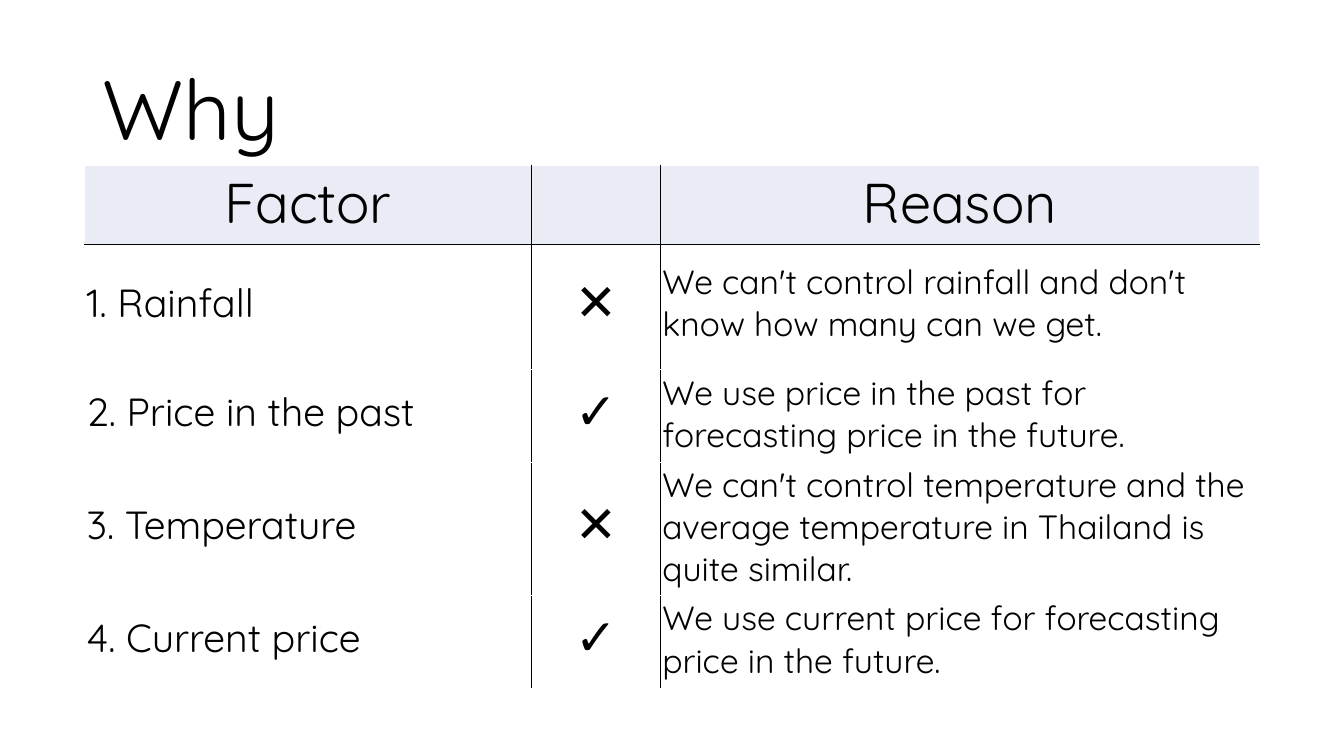
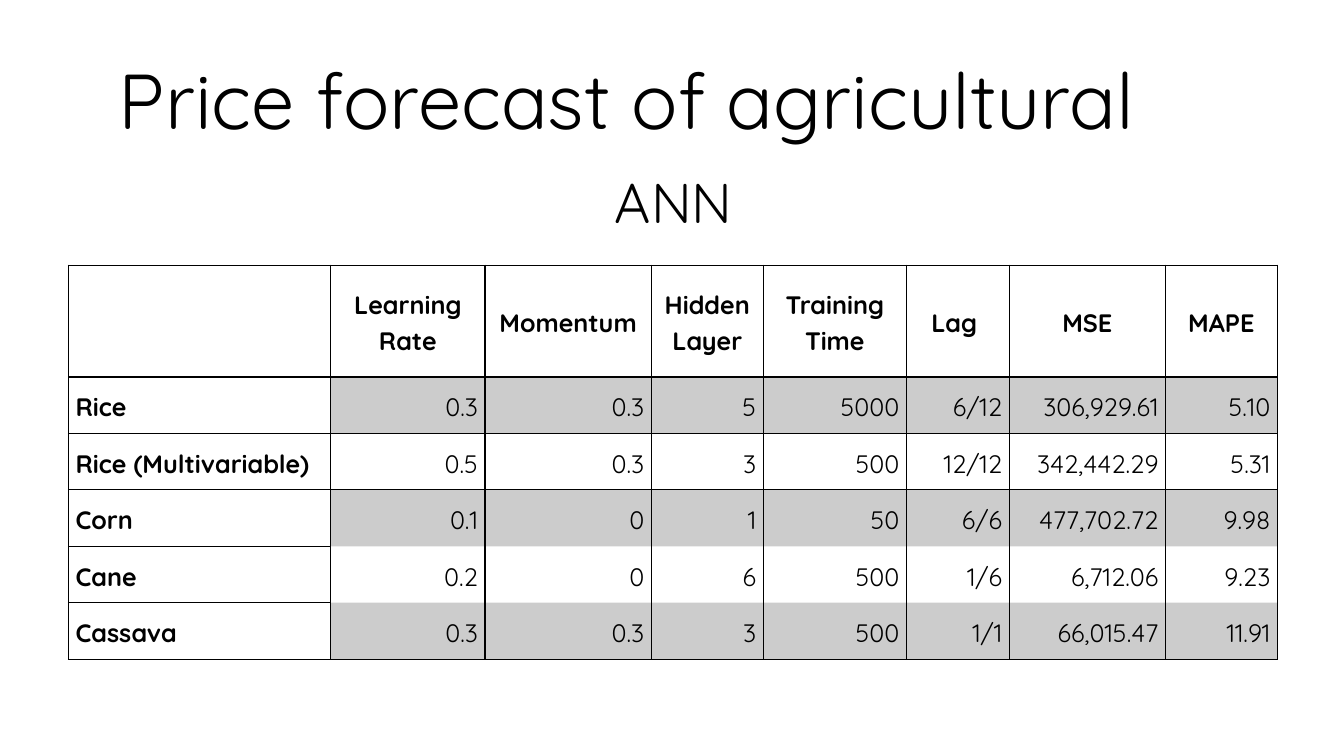
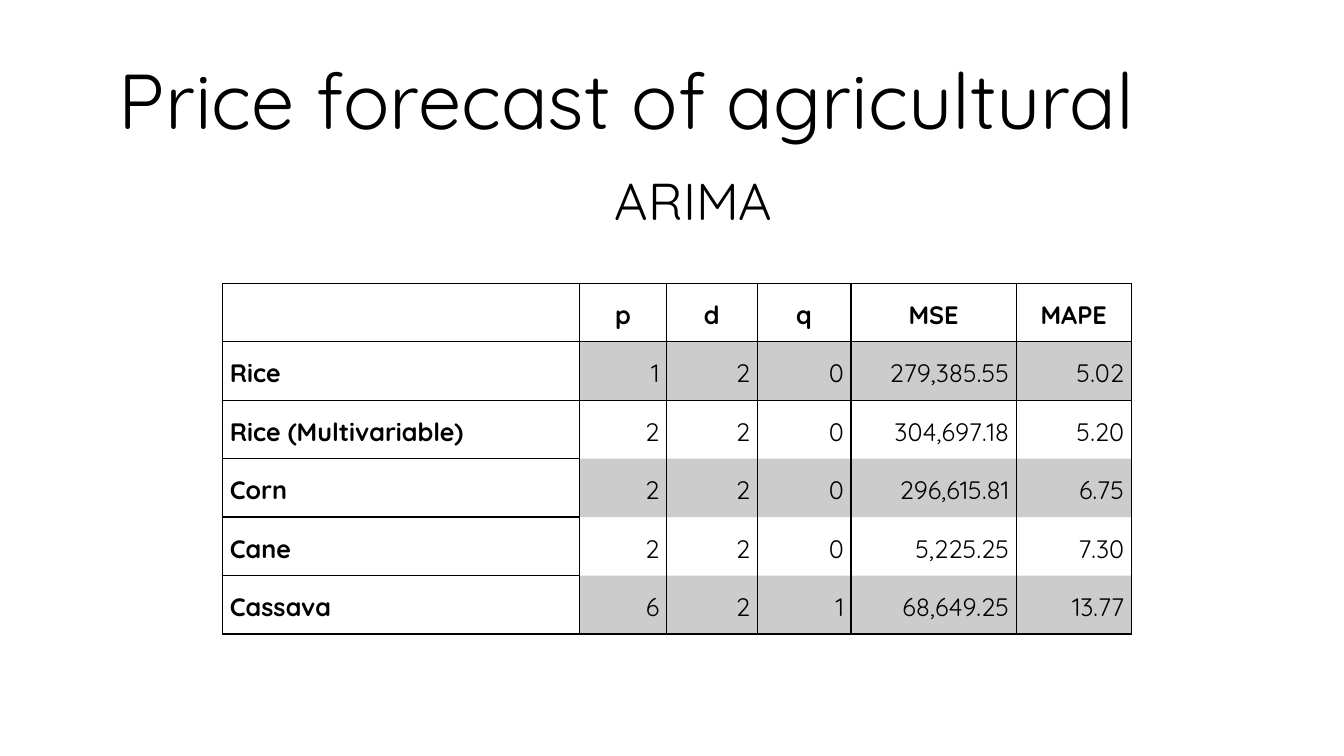
from dataclasses import dataclass
from typing import Callable, Optional

from lxml.etree import SubElement
from pptx import Presentation
from pptx.dml.color import RGBColor
from pptx.enum.text import MSO_ANCHOR as Anchor, PP_ALIGN as Align
from pptx.oxml.ns import qn
from pptx.util import Inches, Pt


@dataclass(frozen=True)
class Theme:
    font: str = "Quicksand"
    mark_font: str = "Arial"
    ink: str = "000000"
    paper: str = "FFFFFF"
    header: str = "E9EBF5"
    band_alpha: int = 20
    why: float = 60
    title: float = 55.5
    heading: float = 40
    arima: float = 37
    mark: float = 36
    factor: float = 28
    reason: float = 24
    data: float = 18
    title_spacing: float = 0.9
    data_spacing: float = 1.15


THEME = Theme()
NO_STYLE = "{2D5ABB26-0587-4C30-8999-92F81FD0307C}"


@dataclass(frozen=True)
class TextStyle:
    size: float
    font: str = THEME.font
    bold: bool = False
    align: Align = Align.LEFT
    spacing: float = 1.0


@dataclass(frozen=True)
class CellStyle:
    text: TextStyle
    borders: dict[str, str]
    fill: Optional[str] = None
    alpha: int = 100


@dataclass(frozen=True)
class Label:
    text: str
    box: tuple[float, float, float, float]
    size: float
    anchor: Anchor = Anchor.TOP


@dataclass(frozen=True)
class Grid:
    left: float
    top: float
    cols: list[float]
    rows: list[float]
    cells: list[list[str]]
    insets: tuple[float, float, float, float]
    style: Callable[[int, int], CellStyle]


@dataclass(frozen=True)
class Page:
    labels: list[Label]
    grid: Grid


def write(tf, text: str, style: TextStyle) -> None:
    p = tf.paragraphs[0]
    p.alignment, p.line_spacing = style.align, style.spacing
    r = p.add_run()
    r.text = text
    for name, value in {"name": style.font, "size": Pt(style.size), "bold": style.bold}.items():
        setattr(r.font, name, value)
    r.font.color.rgb = RGBColor.from_string(THEME.ink)


def add_label(s, label: Label) -> None:
    tf = s.shapes.add_textbox(*map(Inches, label.box)).text_frame
    tf.word_wrap, tf.vertical_anchor = True, label.anchor
    write(tf, label.text, TextStyle(label.size, spacing=THEME.title_spacing))


def paint_cell(cell, style: CellStyle) -> None:
    """Add the borders, then the fill, in the order the file format wants."""
    tc_pr = cell._tc.get_or_add_tcPr()
    for side in "LRTB":
        if side in style.borders:
            ln = SubElement(tc_pr, qn(f"a:ln{side}"), w=str(Pt(1)))
            SubElement(SubElement(ln, qn("a:solidFill")), qn("a:srgbClr"), val=style.borders[side])
    if style.fill is None:
        cell.fill.background()
        return
    cell.fill.solid()
    cell.fill.fore_color.rgb = RGBColor.from_string(style.fill)
    if style.alpha < 100:
        color = tc_pr.find(f"{qn('a:solidFill')}/{qn('a:srgbClr')}")
        SubElement(color, qn("a:alpha"), val=str(style.alpha * 1000))


def add_grid(s, grid: Grid) -> None:
    size = (sum(grid.cols), sum(grid.rows))
    table = s.shapes.add_table(len(grid.rows), len(grid.cols),
                               *map(Inches, (grid.left, grid.top, *size))).table
    table.first_row = table.horz_banding = False
    table._tbl.tblPr.find(qn("a:tableStyleId")).text = NO_STYLE
    for col, width in zip(table.columns, grid.cols):
        col.width = Inches(width)
    for row, height in zip(table.rows, grid.rows):
        row.height = Inches(height)
    for r, texts in enumerate(grid.cells):
        for c, text in enumerate(texts):
            cell, style = table.cell(r, c), grid.style(r, c)
            for side, inset in zip(("left", "top", "right", "bottom"), grid.insets):
                setattr(cell, f"margin_{side}", Inches(inset))
            cell.vertical_anchor = Anchor.MIDDLE
            paint_cell(cell, style)
            if text:
                write(cell.text_frame, text, style.text)


def factor_style(r: int, c: int) -> CellStyle:
    inked = {"L": c > 0, "R": c < 2, "T": r == 1, "B": r == 0}
    borders = {side: THEME.ink if on else THEME.paper for side, on in inked.items()}
    if r == 0:
        return CellStyle(TextStyle(THEME.heading, align=Align.CENTER), borders, THEME.header)
    body = (TextStyle(THEME.factor),
            TextStyle(THEME.mark, THEME.mark_font, align=Align.CENTER),
            TextStyle(THEME.reason))
    return CellStyle(body[c], borders)


def result_grid(left: float, top: float, cols: list[float], rows: list[float],
                cells: list[list[str]], ruled: set[int]) -> Grid:
    """Results with odd rows shaded; ruled holds the rows with a line below."""
    def style(r: int, c: int) -> CellStyle:
        label = r == 0 or c == 0
        inked = {"L": True, "R": True, "T": label or r - 1 in ruled, "B": label or r in ruled}
        align = Align.CENTER if r == 0 else Align.LEFT if c == 0 else Align.RIGHT
        return CellStyle(
            TextStyle(THEME.data, bold=label, align=align, spacing=THEME.data_spacing),
            {side: THEME.ink for side, on in inked.items() if on},
            THEME.ink if r % 2 and not label else None, THEME.band_alpha)
    return Grid(left, top, cols, rows, cells, (0.07, 0, 0.07, 0), style)


def forecast_page(method: str, size: float, grid: Grid) -> Page:
    return Page([Label("Price forecast of agricultural", (1.08, 0.57, 11.5, 1.45), THEME.title),
                 Label(method, (6, 1.69, 1.92, 0.79), size)], grid)


FACTORS = Grid(0.84, 1.64, [4.43, 1.28, 5.94], [0.72, 1.24, 0.92, 1.31, 0.92], [
    ["Factor", "", "Reason"],
    ["1. Rainfall", "✕", "We can't control rainfall and don't know how many can we get."],
    ["2. Price in the past", "✓", "We use price in the past for forecasting price in the future."],
    ["3. Temperature", "✕", "We can't control temperature and the average temperature "
                            "in Thailand is quite similar."],
    ["4. Current price", "✓", "We use current price for forecasting price in the future."],
], (0.02, 0.02, 0.02, 0.1), factor_style)

ANN = result_grid(0.68, 2.63, [2.6, 1.53, 1.65, 1.11, 1.42, 1.02, 1.55, 1.11],
                  [1.11] + [0.56] * 5, [
    ["", "Learning Rate", "Momentum", "Hidden Layer", "Training Time", "Lag ", "MSE", "MAPE"],
    ["Rice", "0.3", "0.3", "5", "5000", "6/12", "306,929.61", "5.10"],
    ["Rice (Multivariable)", "0.5", "0.3", "3", "500", "12/12", "342,442.29", "5.31"],
    ["Corn", "0.1", "0", "1", "50", "6/6", "477,702.72", "9.98"],
    ["Cane", "0.2", "0", "6", "500", "1/6", "6,712.06", "9.23"],
    ["Cassava", "0.3", "0.3", "3", "500", "1/1", "66,015.47", "11.91"],
], {0, 1, 5})

ARIMA = result_grid(2.21, 2.81, [3.54, 0.86, 0.9, 0.93, 1.64, 1.14], [0.58] * 6, [
    ["", "p", "d", "q", "MSE", "MAPE"],
    ["Rice", "1", "2", "0", "279,385.55", "5.02"],
    ["Rice (Multivariable)", "2", "2", "0", "304,697.18", "5.20"],
    ["Corn", "2", "2", "0", "296,615.81", "6.75"],
    ["Cane", "2", "2", "0", "5,225.25", "7.30"],
    ["Cassava", "6", "2", "1", "68,649.25", "13.77"],
], {0, 5})

PAGES = [
    Page([Label("Why", (0.92, 0.4, 11.5, 1.45), THEME.why, Anchor.MIDDLE)], FACTORS),
    forecast_page("ANN", THEME.heading, ANN),
    forecast_page("ARIMA", THEME.arima, ARIMA),
]


def main() -> None:
    prs = Presentation()
    prs.slide_width, prs.slide_height = Inches(13.33), Inches(7.5)
    for page in PAGES:
        s = prs.slides.add_slide(prs.slide_layouts[6])
        for label in page.labels:
            add_label(s, label)
        add_grid(s, page.grid)
    prs.save("out.pptx")


if __name__ == "__main__":
    main()
